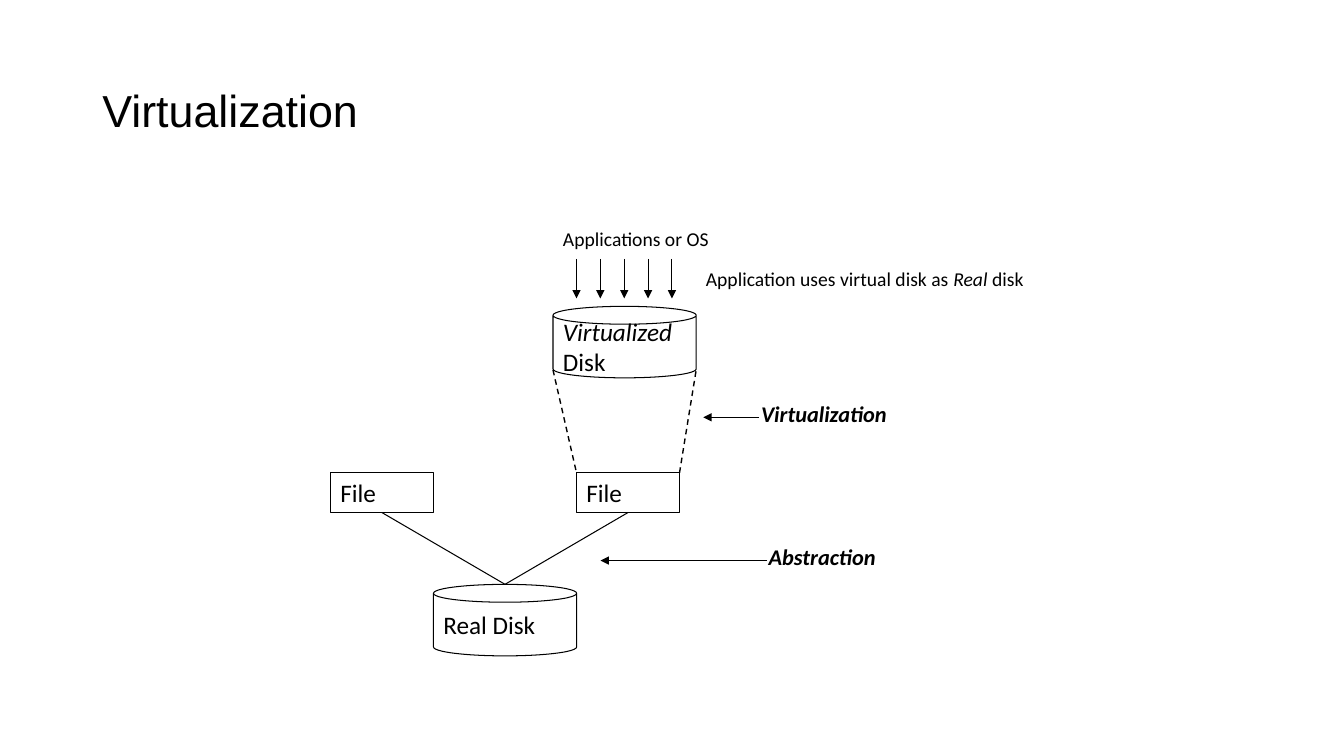
from lxml import etree
from pptx import Presentation
from pptx.dml.color import RGBColor
from pptx.enum import dml, shapes, text
from pptx.oxml.ns import qn
from pptx.util import Pt

BLACK, WHITE = "000000", "FFFFFF"
RECT, CAN = shapes.MSO_SHAPE.RECTANGLE, shapes.MSO_SHAPE.CAN

prs = Presentation()
prs.slide_width, prs.slide_height = Pt(960), Pt(540)
slide = prs.slides.add_slide(prs.slide_layouts[6])


def add_text(lines, left, top, width, height, kind=RECT, size=18, font="Calibri",
             bold=False, outline=True, wrap=False, spacing=None):
    """Draw a white shape; each line is a list of runs, with *run* set in italics."""
    box = slide.shapes.add_shape(kind, Pt(left), Pt(top), Pt(width), Pt(height))
    box.shadow.inherit = False
    box.fill.solid()
    box.fill.fore_color.rgb = RGBColor.from_string(WHITE)
    if outline:
        box.line.color.rgb = RGBColor.from_string(BLACK)
        box.line.width = Pt(0.75)
    else:
        box.line.fill.background()
    frame = box.text_frame
    frame.word_wrap = wrap
    frame.vertical_anchor = text.MSO_ANCHOR.MIDDLE
    for number, runs in enumerate(lines):
        paragraph = frame.add_paragraph() if number else frame.paragraphs[0]
        paragraph.alignment = text.PP_ALIGN.LEFT
        paragraph.line_spacing = spacing
        for words in runs:
            run = paragraph.add_run()
            run.text = words.strip("*")
            run.font.name, run.font.size = font, Pt(size)
            run.font.bold, run.font.italic = bold, words.startswith("*")
            run.font.color.rgb = RGBColor.from_string(BLACK)


def add_line(x1, y1, x2, y2, width=0.75, dashed=False, arrow=False):
    line = slide.shapes.add_connector(
        shapes.MSO_CONNECTOR.STRAIGHT, Pt(x1), Pt(y1), Pt(x2), Pt(y2))
    line.line.color.rgb = RGBColor.from_string(BLACK)
    line.line.width = Pt(width)
    if dashed:
        line.line.dash_style = dml.MSO_LINE.DASH
    if arrow:
        etree.SubElement(line.line._get_or_add_ln(), qn("a:tailEnd"), type="triangle")
    etree.SubElement(line._element.spPr, qn("a:effectLst"))


add_text([["Virtualization"]], 66, 28.75, 828, 104.4, size=32, font="Arial",
         outline=False, wrap=True, spacing=0.9)

# Real disk and the files that abstract it
disk_width, disk_height = 102.3, 51.1
real_left, real_top = 309.6, 417.4
file_top, file_width, file_height = 337.7, 73.6, 28.4
left_file, right_file = 236, 411.8
add_text([["Real Disk"]], real_left, real_top, disk_width, disk_height, kind=CAN)
for file_left in (left_file, right_file):
    add_text([["File"]], file_left, file_top, file_width, file_height)
    add_line(file_left + file_width / 2, file_top + file_height,
             real_left + disk_width / 2, real_top)

# Virtualized disk, projected from the right file
virtual_left, virtual_top = 395, 218.8
projection_top = 264.2
add_text([["*Virtualized*"], ["Disk"]], virtual_left, virtual_top,
         disk_width, disk_height, kind=CAN)
add_line(virtual_left, projection_top, right_file, file_top, width=1, dashed=True)
add_line(right_file + file_width, file_top, virtual_left + disk_width, projection_top,
         width=1, dashed=True)

# Names of the two steps, each with an arrow to the left
for step, left, top, arrow_start, arrow_end in (
        ("Abstraction", 542, 378, 548, 429),
        ("Virtualization", 536.5, 275.7, 542.2, 502.4)):
    add_text([[f"*{step}*"]], left, top, 124.8, 39.8, size=16, bold=True, outline=False)
    add_line(arrow_start, top + 22.4, arrow_end, top + 22.4, arrow=True)

# Users of the virtualized disk
add_text([["Applications or OS"]], virtual_left, 162, disk_width, 17.1, size=14,
         outline=False)
for number in range(5):
    arrow_x = right_file + number * 17.05
    add_line(arrow_x, 185, arrow_x, 213.2, arrow=True)
add_text([["Application uses virtual disk as ", "*Real*", " disk"]],
         497.1, 179.1, 124.8, 39.8, size=14, outline=False)

prs.save("out.pptx")
